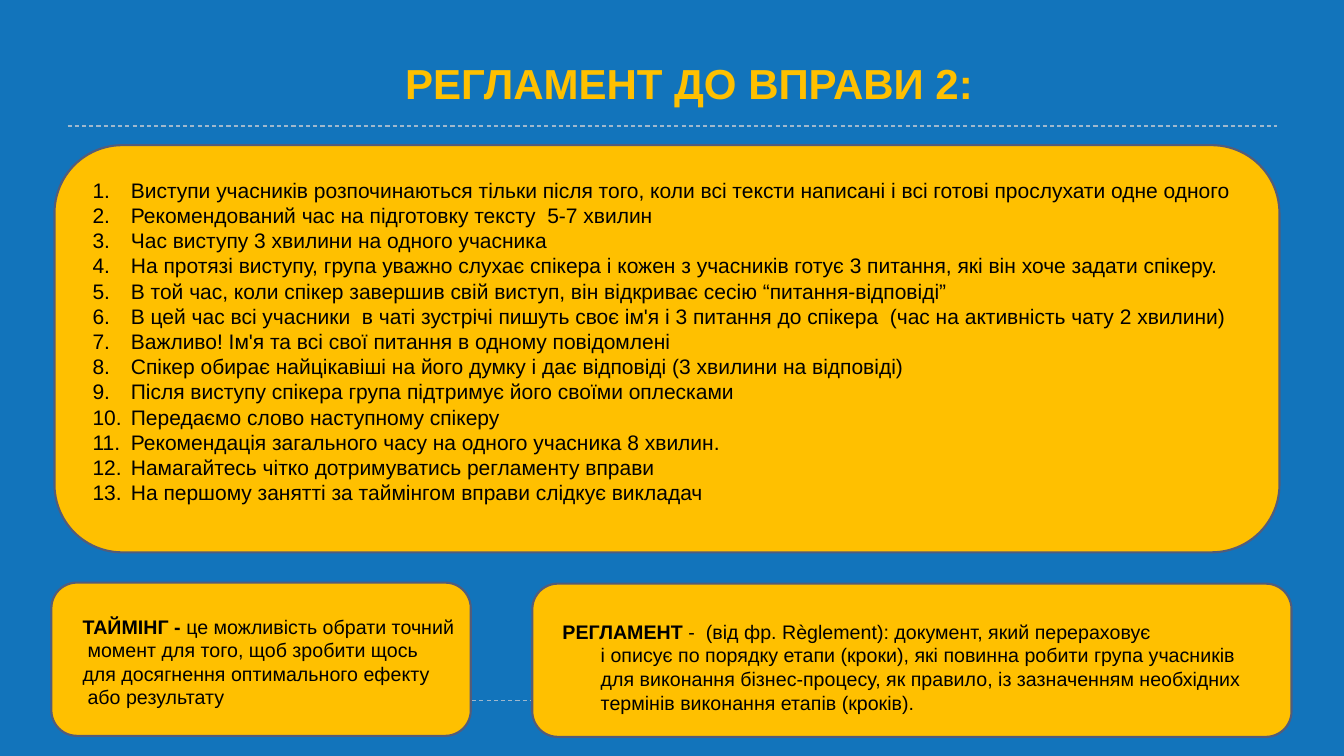
import pptx
import pptx.util
import pptx.dml.color
import pptx.enum.dml
import pptx.enum.shapes
import pptx.oxml.ns
import lxml.etree

Inches = pptx.util.Inches
Pt = pptx.util.Pt

BLUE, GOLD, BLACK = "1274BB", "FFC000", "000000"
RULE_COLOUR, BORDER_COLOUR = "9FB8CD", "545C79"

TITLE = "РЕГЛАМЕНТ ДО ВПРАВИ 2:"
RULES = [
    "Виступи учасників розпочинаються тільки після того, коли всі тексти написані і всі готові прослухати одне одного",
    "Рекомендований час на підготовку тексту  5-7 хвилин",
    "Час виступу 3 хвилини на одного учасника",
    "На протязі виступу, група уважно слухає спікера і кожен з учасників готує 3 питання, які він хоче задати спікеру.",
    "В той час, коли спікер завершив свій виступ, він відкриває сесію “питання-відповіді”",
    "В цей час всі учасники  в чаті зустрічі пишуть своє ім'я і 3 питання до спікера  (час на активність чату 2 хвилини)",
    "Важливо! Ім'я та всі свої питання в одному повідомлені",
    "Спікер обирає найцікавіші на його думку і дає відповіді (3 хвилини на відповіді)",
    "Після виступу спікера група підтримує його своїми оплесками",
    "Передаємо слово наступному спікеру",
    "Рекомендація загального часу на одного учасника 8 хвилин.",
    "Намагайтесь чітко дотримуватись регламенту вправи",
    "На першому занятті за таймінгом вправи слідкує викладач",
]
REGULATION = [
    ("РЕГЛАМЕНТ", " -  (від фр. Règlement): документ, який перераховує", 0),
    ("", "і описує по порядку етапи (кроки), які повинна робити група учасників", 0.38),
    ("", "для виконання бізнес-процесу, як правило, із зазначенням необхідних", 0.38),
    ("", "термінів виконання етапів (кроків).", 0.38),
]
TIMING = [
    ("ТАЙМІНГ - ", "це можливість обрати точний", 0),
    ("", "момент для того, щоб зробити щось", 0.05),
    ("", "для досягнення оптимального ефекту", 0),
    ("", "або результату", 0.05),
]

RULE_HEIGHTS = [6.95, 1.25]
PANELS = [(5.28, 5.79, 7.53, 1.52), (0.51, 5.78, 4.16, 1.52), (0.54, 1.44, 12.15, 4.04)]
TEXTS = [
    ((0.82, 1.71, 11.66, 3.38), [("", rule, 0.38) for rule in RULES], 15, BLACK, True),
    ((5.48, 6.1, 7.02, 1.04), REGULATION, 14, BLACK, False),
    ((0.72, 6.05, 3.95, 1.04), TIMING, 14, BLACK, False),
    ((3.92, 0.52, 5.94, 0.61), [(TITLE, "", 0)], 30, GOLD, False),
]


def colour(value):
    return pptx.dml.color.RGBColor.from_string(value)


def add_element(parent, tag, **attributes):
    return lxml.etree.SubElement(parent, pptx.oxml.ns.qn(tag), attributes)


def add_rule(page, height):
    rule = page.shapes.add_connector(
        pptx.enum.shapes.MSO_CONNECTOR.STRAIGHT,
        Inches(0.67), Inches(height), Inches(12.67), Inches(height))
    rule.line.color.rgb = colour(RULE_COLOUR)
    rule.line.width = Pt(0.75)
    rule.line.dash_style = pptx.enum.dml.MSO_LINE.DASH
    add_element(rule._element.spPr, "a:effectLst")


def add_panel(page, place):
    panel = page.shapes.add_shape(
        pptx.enum.shapes.MSO_SHAPE.ROUNDED_RECTANGLE, *map(Inches, place))
    panel.shadow.inherit = False
    panel.fill.solid()
    panel.fill.fore_color.rgb = colour(GOLD)
    panel.line.color.rgb = colour(BORDER_COLOUR)
    panel.line.width = Pt(1.5)


def indent(para, left, numbered):
    properties = para._p.get_or_add_pPr()
    properties.set("marL", str(Inches(left)))
    properties.set("indent", str(-Inches(left) if numbered else 0))
    if numbered:
        bullet_colour = add_element(properties, "a:buClr")
        add_element(bullet_colour, "a:srgbClr", val=BLACK)
        add_element(properties, "a:buFont", typeface="+mj-lt")
        add_element(properties, "a:buAutoNum", type="arabicPeriod")


def add_text(page, place, lines, size, text_colour, numbered):
    box = page.shapes.add_textbox(*map(Inches, place))
    frame = box.text_frame
    frame.word_wrap = True
    for index, (strong, plain, left) in enumerate(lines):
        para = frame.paragraphs[0] if index == 0 else frame.add_paragraph()
        indent(para, left, numbered)
        for words, bold in ((strong, True), (plain, False)):
            if words:
                span = para.add_run()
                span.text = words
                font_format = {"name": "Arial", "size": Pt(size), "bold": bold}
                for name, value in font_format.items():
                    setattr(span.font, name, value)
                span.font.color.rgb = colour(text_colour)


def main():
    deck = pptx.Presentation()
    deck.slide_width, deck.slide_height = Inches(13.33), Inches(7.5)
    page = deck.slides.add_slide(deck.slide_layouts[6])
    page.background.fill.solid()
    page.background.fill.fore_color.rgb = colour(BLUE)
    for height in RULE_HEIGHTS:
        add_rule(page, height)
    for place in PANELS:
        add_panel(page, place)
    for text in TEXTS:
        add_text(page, *text)
    deck.save("out.pptx")


if __name__ == "__main__":
    main()
